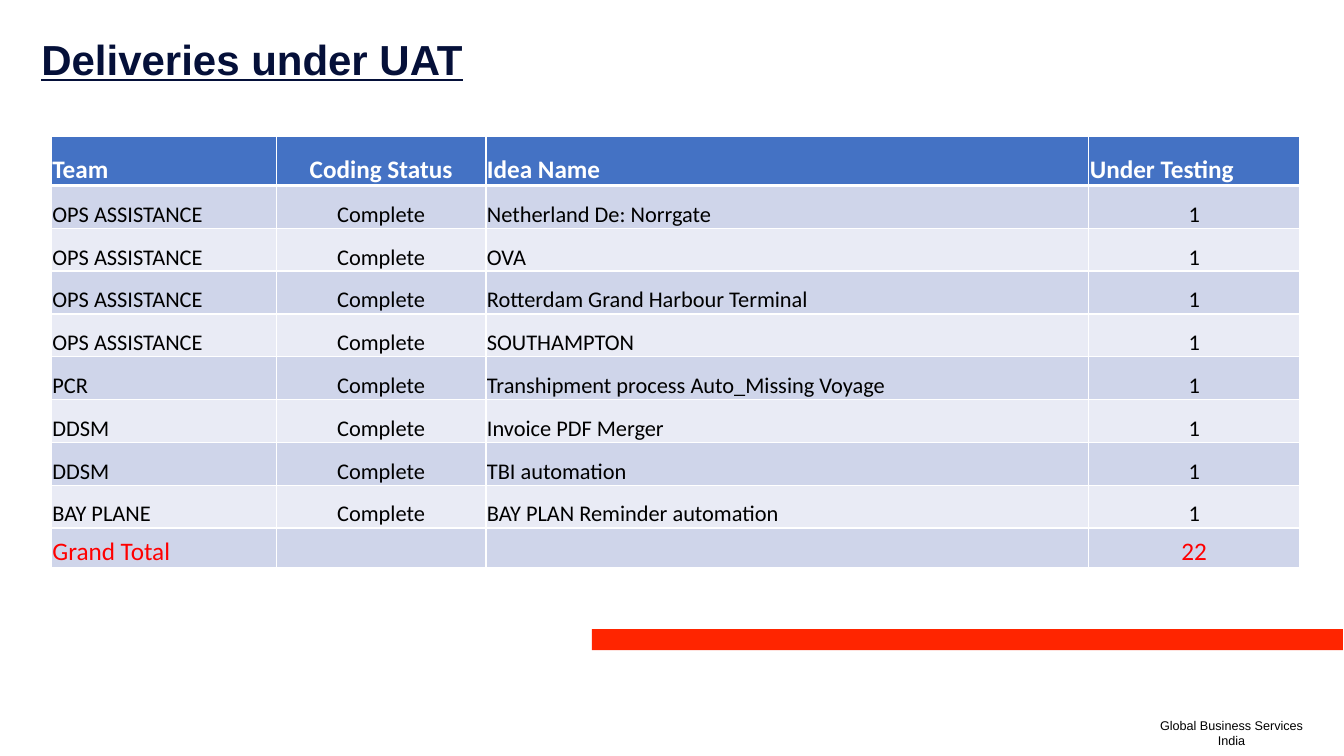
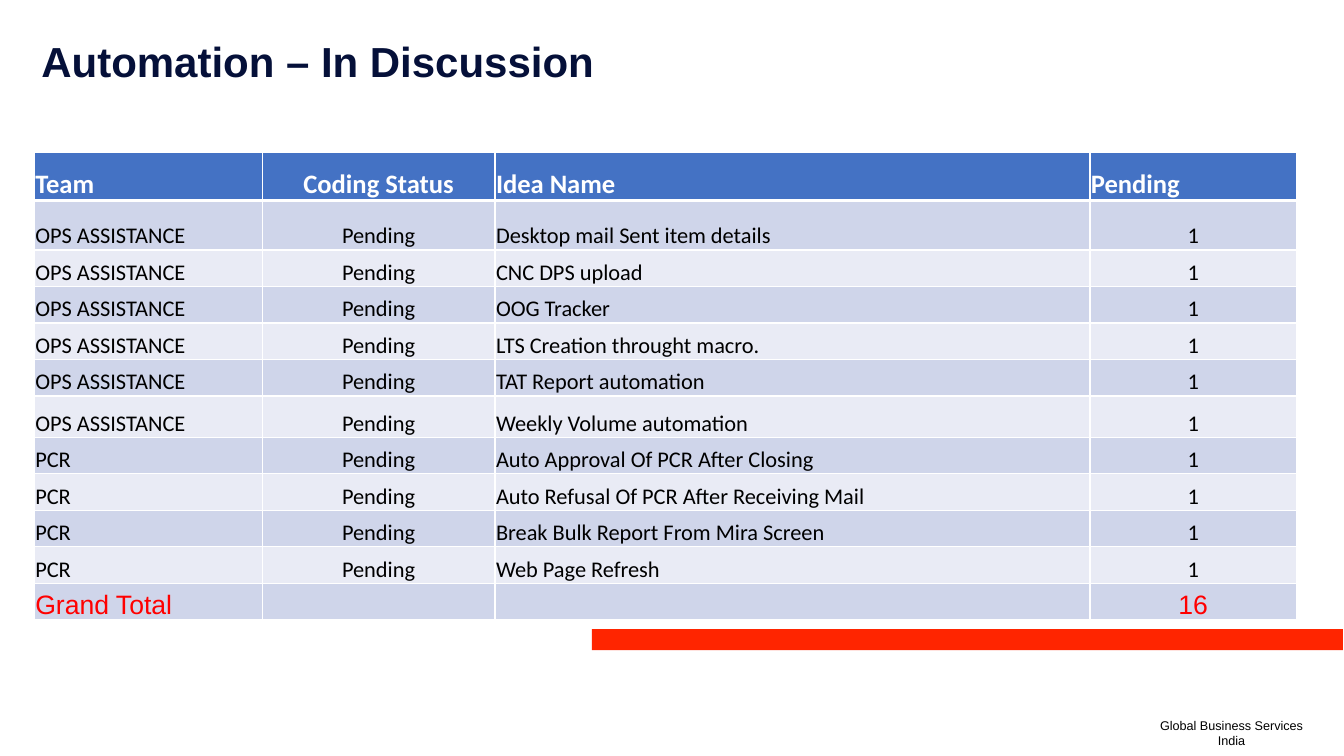
"""Build two status slides, each with a titled table, a red band and a footer."""
from lxml.etree import SubElement
from pptx import Presentation
from pptx.dml.color import RGBColor
from pptx.enum.shapes import MSO_SHAPE
from pptx.enum.text import MSO_ANCHOR, MSO_AUTO_SIZE, PP_ALIGN
from pptx.oxml.ns import qn
from pptx.util import Inches, Pt

NAVY = RGBColor(0x05, 0x10, 0x39)
BAND_RED = RGBColor(0xFF, 0x25, 0x00)
TOTAL_RED = RGBColor(0xFF, 0x00, 0x00)
HEADER_BLUE = RGBColor(0x44, 0x72, 0xC4)
ROW_DARK = RGBColor(0xCF, 0xD5, 0xEA)
ROW_LIGHT = RGBColor(0xE9, 0xEB, 0xF5)
WHITE = RGBColor(0xFF, 0xFF, 0xFF)
BLACK = RGBColor(0x00, 0x00, 0x00)

SLIDES = [
    {
        "title": "Deliveries under UAT", "title_box": (0.31, 0.34, 12.6, 0.64), "underline": True,
        "table_box": (0.51, 1.35, 12.39, 4.28), "columns": [2.23, 2.08, 5.98, 2.09],
        "fixed_rows": {0: 0.49, 9: 0.39}, "large": 18, "total_font": "Calibri",
        "count_heading": "Under Testing", "status": "Complete", "total": "22",
        "ideas": [
            ("OPS ASSISTANCE", "Netherland De: Norrgate"),
            ("OPS ASSISTANCE", "OVA"),
            ("OPS ASSISTANCE", "Rotterdam Grand Harbour Terminal"),
            ("OPS ASSISTANCE", "SOUTHAMPTON"),
            ("PCR", "Transhipment process Auto_Missing Voyage"),
            ("DDSM", "Invoice PDF Merger"),
            ("DDSM", "TBI automation"),
            ("BAY PLANE", "BAY PLAN Reminder automation"),
        ],
    },
    {
        "title": "Automation – In Discussion", "title_box": (0.31, 0.36, 12.6, 0.97), "underline": None,
        "table_box": (0.34, 1.51, 12.52, 4.64), "columns": [2.26, 2.31, 5.9, 2.05],
        "fixed_rows": {0: 0.48, 1: 0.49, 6: 0.41}, "large": 19, "total_font": "Arial",
        "count_heading": "Pending", "status": "Pending", "total": "16",
        "ideas": [
            ("OPS ASSISTANCE", "Desktop mail Sent item details"),
            ("OPS ASSISTANCE", "CNC DPS upload"),
            ("OPS ASSISTANCE", "OOG Tracker"),
            ("OPS ASSISTANCE", "LTS Creation throught macro."),
            ("OPS ASSISTANCE", "TAT Report automation"),
            ("OPS ASSISTANCE", "Weekly Volume automation"),
            ("PCR", "Auto Approval Of PCR After Closing"),
            ("PCR", "Auto Refusal Of PCR After Receiving Mail"),
            ("PCR", "Break Bulk Report From Mira Screen"),
            ("PCR", "Web Page Refresh"),
        ],
    },
]


def write(para, text, size, color, font="Arial", bold=False, underline=None, align=PP_ALIGN.LEFT):
    para.alignment = align
    if text:
        span = para.add_run()
        span.text = text
        span.font.size, span.font.name = Pt(size), font
        span.font.bold, span.font.underline = bold, underline
        span.font.color.rgb = color


def add_border(cell, side, width):
    line = SubElement(cell._tc.get_or_add_tcPr(), qn(f"a:ln{side}"), w=str(Pt(width)))
    fill = SubElement(line, qn("a:solidFill"))
    SubElement(fill, qn("a:srgbClr"), val=str(WHITE))


deck = Presentation()
deck.slide_width, deck.slide_height = Inches(13.33), Inches(7.5)
title_only = deck.slide_layouts[5]

for content in SLIDES:
    page = deck.slides.add_slide(title_only)

    band = page.shapes.add_shape(
        MSO_SHAPE.RECTANGLE, Inches(5.87), Inches(6.24), Inches(7.45), Inches(0.21))
    band.shadow.inherit = False
    band.fill.solid()
    band.fill.fore_color.rgb = BAND_RED
    band.line.fill.background()

    footer = page.shapes.add_textbox(Inches(11.4), Inches(7.07), Inches(1.63), Inches(0.4)).text_frame
    footer.word_wrap = True
    write(footer.paragraphs[0], "Global Business Services", 9, BLACK, align=PP_ALIGN.CENTER)
    write(footer.add_paragraph(), "India", 9, BLACK, align=PP_ALIGN.CENTER)

    title = page.shapes.title
    title.left, title.top, title.width, title.height = map(Inches, content["title_box"])
    frame = title.text_frame
    frame.word_wrap = True
    frame.auto_size = MSO_AUTO_SIZE.NONE
    frame.vertical_anchor = MSO_ANCHOR.TOP
    frame.paragraphs[0].line_spacing = 0.9
    write(frame.paragraphs[0], content["title"], 30, NAVY, bold=True, underline=content["underline"])

    rows = [("Team", "Coding Status", "Idea Name", content["count_heading"])]
    rows += [(team, content["status"], idea, "1") for team, idea in content["ideas"]]
    rows.append(("Grand Total", "", "", content["total"]))
    last = len(rows) - 1

    table = page.shapes.add_table(len(rows), 4, *map(Inches, content["table_box"])).table
    for column, width in zip(table.columns, content["columns"]):
        column.width = Inches(width)
    fixed_rows = content["fixed_rows"]
    shared_height = (content["table_box"][3] - sum(fixed_rows.values())) / (len(rows) - len(fixed_rows))

    for row_index, row in enumerate(rows):
        table.rows[row_index].height = Inches(fixed_rows.get(row_index, shared_height))
        if row_index == 0:
            style = {"size": content["large"], "color": WHITE, "font": "Calibri", "bold": True}
            row_fill = HEADER_BLUE
        else:
            style = {"size": 16, "color": BLACK, "font": "Calibri"}
            row_fill = ROW_DARK if row_index % 2 else ROW_LIGHT
        if row_index == last:
            style = {"size": content["large"], "color": TOTAL_RED, "font": content["total_font"]}

        for column_index, text in enumerate(row):
            cell = table.cell(row_index, column_index)
            cell.vertical_anchor = MSO_ANCHOR.BOTTOM
            cell.margin_left = cell.margin_top = cell.margin_right = Inches(0.01)
            cell.margin_bottom = 0
            for side in "LRTB":
                under_header = (row_index, side) in ((0, "B"), (1, "T"))
                add_border(cell, side, 3 if under_header else 1)
            cell.fill.solid()
            cell.fill.fore_color.rgb = row_fill
            centred = column_index == 1 or (column_index == 3 and row_index > 0)
            write(cell.text_frame.paragraphs[0], text,
                  align=PP_ALIGN.CENTER if centred else PP_ALIGN.LEFT, **style)

deck.save("out.pptx")
